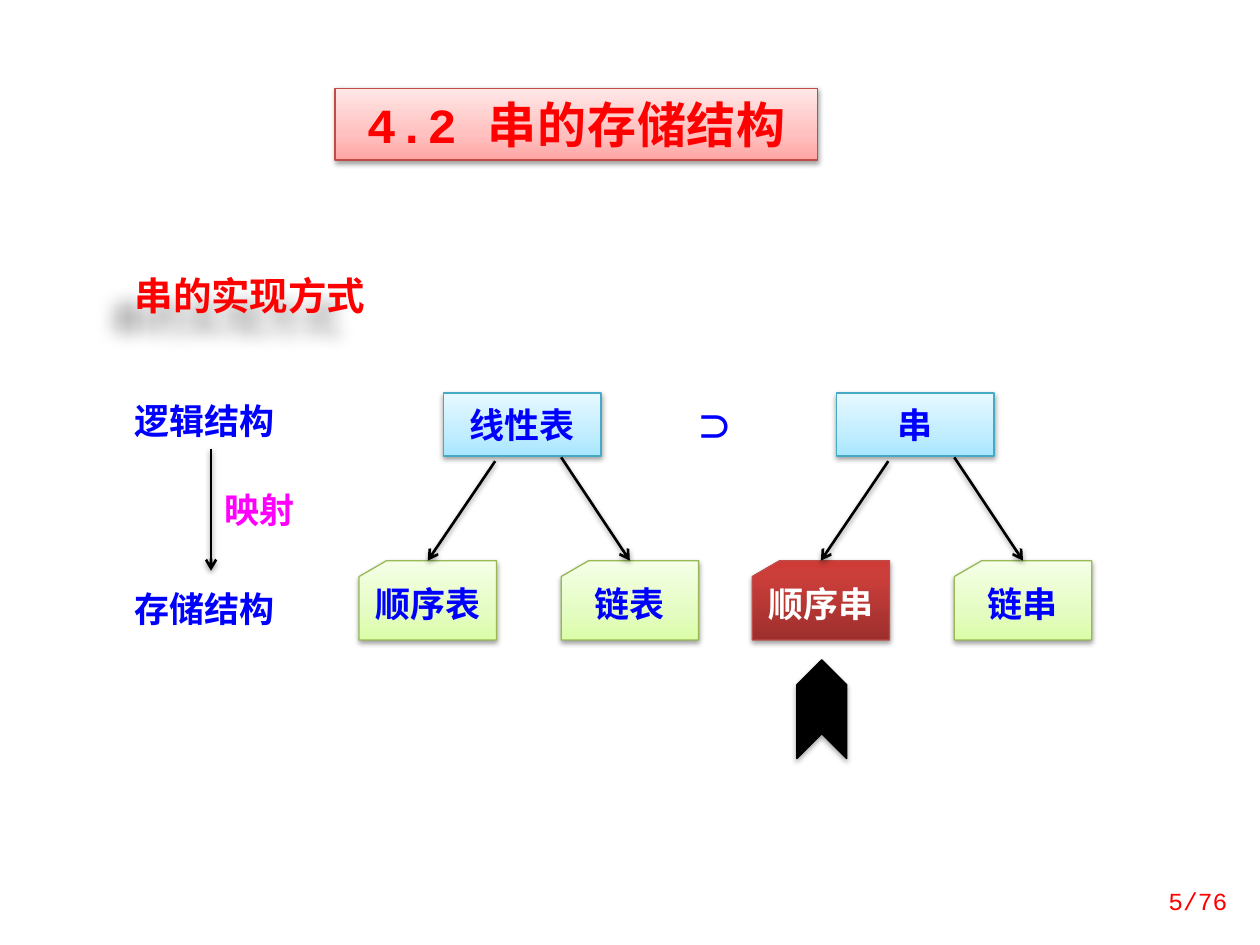
from copy import deepcopy

from lxml.etree import SubElement
from pptx import Presentation
from pptx.dml.color import RGBColor
from pptx.enum.shapes import MSO_CONNECTOR, MSO_SHAPE
from pptx.enum.text import MSO_ANCHOR, MSO_AUTO_SIZE, PP_ALIGN
from pptx.oxml.ns import qn
from pptx.util import Pt

RED = RGBColor(0xFF, 0x00, 0x00)
BLUE = RGBColor(0x00, 0x00, 0xFF)
MAGENTA = RGBColor(0xFF, 0x00, 0xFF)
BLACK = RGBColor(0x00, 0x00, 0x00)
WHITE = RGBColor(0xFF, 0xFF, 0xFF)
AQUA_LINE = RGBColor(0x46, 0xAA, 0xC5)
GREEN_LINE = RGBColor(0x98, 0xB9, 0x55)
RED_LINE = RGBColor(0xBF, 0x4C, 0x48)
# Gradient stops run from the bottom edge to the top edge.
AQUA = [(0, RGBColor(0xA7, 0xE6, 0xFF)), (0.35, RGBColor(0xC1, 0xED, 0xFF)),
        (1, RGBColor(0xE7, 0xF8, 0xFF))]
GREEN = [(0, RGBColor(0xDA, 0xFD, 0xA7)), (0.35, RGBColor(0xE4, 0xFC, 0xC2)),
         (1, RGBColor(0xF5, 0xFF, 0xE7))]
DARK_RED = [(0, RGBColor(0x9C, 0x2F, 0x2D)), (0.8, RGBColor(0xCB, 0x3E, 0x3A)),
            (1, RGBColor(0xCE, 0x3B, 0x37))]
PINK = [(0, RGBColor(0xFF, 0xA6, 0xA5)), (0.35, RGBColor(0xFF, 0xC0, 0xBF)),
        (1, RGBColor(0xFF, 0xE7, 0xE7))]
LATIN = "Courier New"
CHINESE = "Noto Sans CJK SC"


def add_text(shape, text, color, size=20, font=CHINESE, align=PP_ALIGN.LEFT,
             anchor=MSO_ANCHOR.TOP, bold=True):
    frame = shape.text_frame
    frame.word_wrap = True
    frame.vertical_anchor = anchor
    if anchor == MSO_ANCHOR.TOP:
        frame.auto_size = MSO_AUTO_SIZE.SHAPE_TO_FIT_TEXT
    paragraph = frame.paragraphs[0]
    paragraph.alignment = align
    run = paragraph.add_run()
    run.text = text
    run.font.name = font
    run.font.size = Pt(size)
    run.font.bold = bold
    run.font.color.rgb = color
    SubElement(run.font._element, qn("a:ea"), typeface=CHINESE)
    return run


def add_shadow(shape, blur=3.1, distance=1.6, angle=90, alpha=38):
    """Give a shape or connector a black outer shadow; call after fill and line."""
    effects = SubElement(shape._element.spPr, qn("a:effectLst"))
    shadow = SubElement(effects, qn("a:outerShdw"), blurRad=str(Pt(blur)), dist=str(Pt(distance)),
                        dir=str(angle * 60000), algn="ctr", rotWithShape="0")
    color = SubElement(shadow, qn("a:srgbClr"), val="000000")
    SubElement(color, qn("a:alpha"), val=str(alpha * 1000))


presentation = Presentation()
presentation.slide_width = Pt(720)
presentation.slide_height = Pt(540)
slide = presentation.slides.add_slide(presentation.slide_layouts[6])
shapes = slide.shapes

# Plain labels
labels = {}
for text, left, top, width, height, color, size, font in [
    ("串的实现方式", 69.84, 151.92, 157.68, 33.84, RED, 22, LATIN),
    ("逻辑结构", 69.84, 224.64, 101.52, 31.68, BLUE, 20, CHINESE),
    ("存储结构", 69.84, 331.92, 101.52, 31.68, BLUE, 20, CHINESE),
    ("映射", 120.96, 275.76, 61.92, 31.68, MAGENTA, 20, CHINESE),
    ("∩", 394.56, 225.36, 33.84, 37.44, BLUE, 20, CHINESE),
]:
    label = shapes.add_textbox(Pt(left), Pt(top), Pt(width), Pt(height))
    add_text(label, text, color, size, font)
    labels[text] = label
add_shadow(labels["串的实现方式"], blur=10, distance=19, angle=139, alpha=35)
labels["∩"].rotation = 90
labels["∩"].text_frame.paragraphs[0].line_spacing = Pt(30)

# Boxes: the title, then two trees with a root and two cards each
RECTANGLE, CARD = MSO_SHAPE.RECTANGLE, MSO_SHAPE.FLOWCHART_CARD
TREE_LEFTS = [205.2, 429.84]
CARD_STEP, CARD_TOP = 115.5, 320.4
boxes = [("4.2 串的存储结构", RECTANGLE, 191.52, 50.4, 275.76, 41.04, PINK, RED_LINE, RED)]
for left, root, cards in zip(TREE_LEFTS, ["线性表", "串"], [["顺序表", "链表"], ["顺序串", "链串"]]):
    boxes.append((root, RECTANGLE, left + 48.24, 224.64, 90, 36, AQUA, AQUA_LINE, BLUE))
    for column, text in enumerate(cards):
        colors = (DARK_RED, RED_LINE, WHITE) if text == "顺序串" else (GREEN, GREEN_LINE, BLUE)
        boxes.append((text, CARD, left + column * CARD_STEP, CARD_TOP, 78.48, 45.36, *colors))

cards = []
for text, kind, left, top, width, height, stops, line_color, text_color in boxes:
    box = shapes.add_shape(kind, Pt(left), Pt(top), Pt(width), Pt(height))
    box.fill.gradient()
    box.fill.gradient_angle = 90
    stop_list = box._element.spPr.find(".//" + qn("a:gsLst"))
    stop_list.append(deepcopy(stop_list[0]))
    for stop, (position, color) in zip(box.fill.gradient_stops, stops):
        stop.position = position
        stop.color.rgb = color
    box.line.color.rgb = line_color
    box.line.width = Pt(0.75)
    add_shadow(box)
    frame = box.text_frame
    if kind == CARD:
        frame.margin_bottom = Pt(8.64)
        add_text(box, text, text_color, align=PP_ALIGN.CENTER, anchor=MSO_ANCHOR.MIDDLE)
        cards.append(box)
    elif stops is PINK:
        run = add_text(box, text, text_color, 28, LATIN, PP_ALIGN.CENTER)
        run.font._element.set("spc", "50")
    else:
        frame.margin_top = frame.margin_bottom = Pt(5.76)
        add_text(box, text, text_color, align=PP_ALIGN.CENTER)

# Arrows: one for the mapping, two down from each root
arrows = [(120.6, 256.32, 120.6, 326.16, labels["逻辑结构"], None)]
for left, tree_cards in zip(TREE_LEFTS, [cards[:2], cards[2:]]):
    arrows.append((left + 77.76, 263.52, left + 39.24, CARD_TOP, None, tree_cards[0]))
    arrows.append((left + 115.5, 261.36, left + 154.74, CARD_TOP, None, tree_cards[1]))
for begin_x, begin_y, end_x, end_y, source, target in arrows:
    arrow = shapes.add_connector(MSO_CONNECTOR.STRAIGHT, Pt(begin_x), Pt(begin_y), Pt(end_x), Pt(end_y))
    if source is not None:
        arrow.begin_connect(source, 2)
    if target is not None:
        arrow.end_connect(target, 0)
    arrow.line.color.rgb = BLACK
    arrow.line.width = Pt(1.5)
    SubElement(arrow._element.spPr.find(qn("a:ln")), qn("a:tailEnd"), type="arrow")
    add_shadow(arrow)

# Pointer under the highlighted card
pointer = shapes.add_shape(MSO_SHAPE.CHEVRON, Pt(441.36), Pt(390.96), Pt(56.5), Pt(28.5))
pointer.rotation = 270
pointer.fill.solid()
pointer.fill.fore_color.rgb = BLACK
pointer.line.color.rgb = BLACK
pointer.line.width = Pt(0.75)
add_shadow(pointer, distance=1.8, alpha=35)

page_number = shapes.add_textbox(Pt(632.16), Pt(500.4), Pt(76.32), Pt(28.8))
add_text(page_number, "5/76", RED, 14, LATIN, PP_ALIGN.RIGHT, MSO_ANCHOR.MIDDLE, bold=False)

presentation.save("out.pptx")
